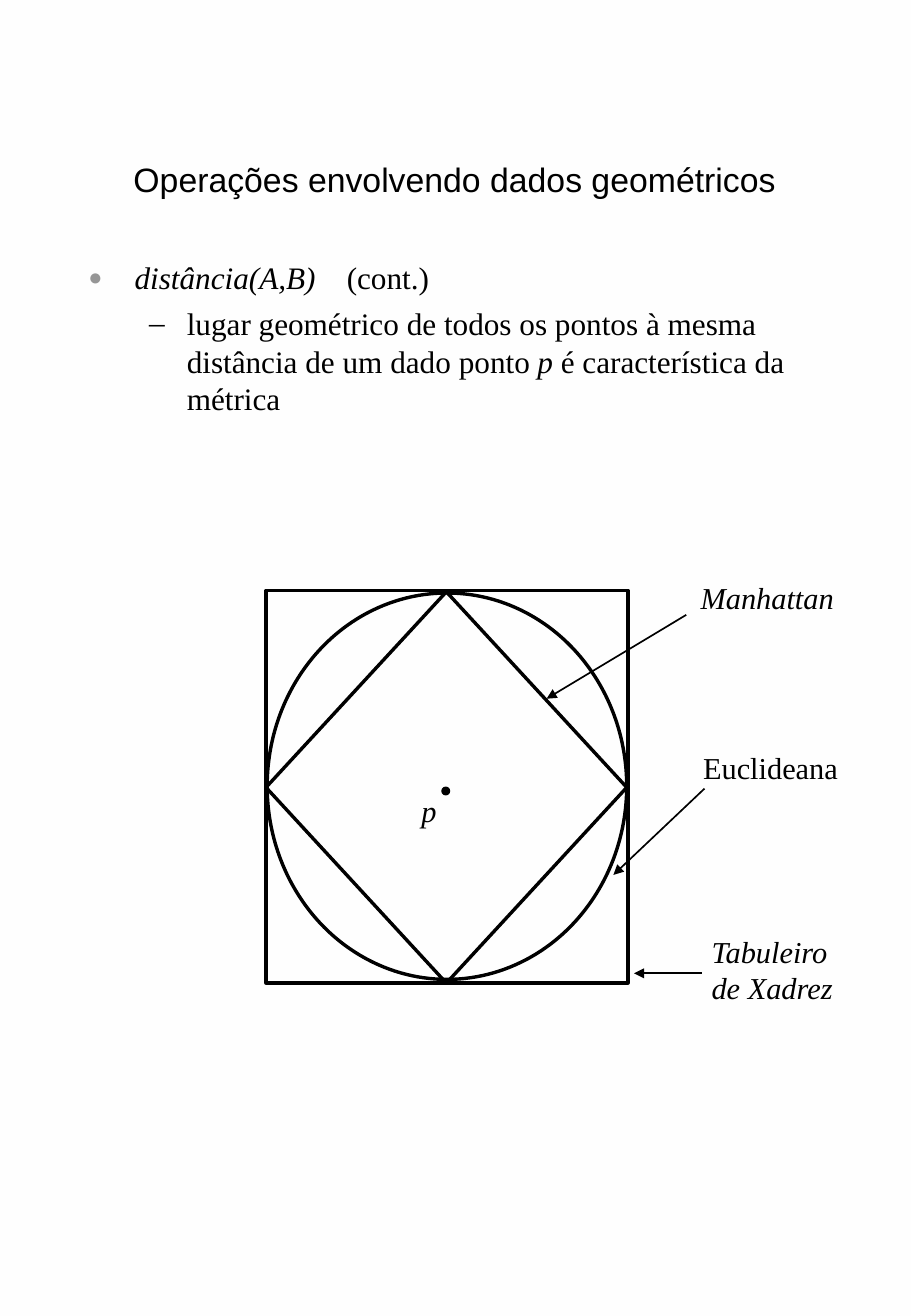
"""Build the slide about the geometric locus of three distance metrics."""
import pptx
import pptx.dml.color
import pptx.enum.dml
import pptx.enum.shapes
import pptx.enum.text
import pptx.oxml
import pptx.oxml.ns
import pptx.util

BLACK = pptx.dml.color.RGBColor(0x00, 0x00, 0x00)
WHITE = pptx.dml.color.RGBColor(0xFF, 0xFF, 0xFF)
OFF_WHITE = pptx.dml.color.RGBColor(0xFE, 0xFE, 0xFE)
GREY = pptx.dml.color.RGBColor(0x96, 0x96, 0x96)
SERIF = "Times New Roman"
SHAPE = pptx.enum.shapes.MSO_SHAPE
EMU_PER_PX = 9144


def px(length):
    return pptx.util.Emu(length * EMU_PER_PX)


def drawing_element(tag, **attributes):
    namespace = pptx.oxml.ns.nsdecls("a")
    element = pptx.oxml.parse_xml(f"<a:{tag} {namespace}/>")
    for name, value in attributes.items():
        element.set(name, str(value))
    return element


def set_background(slide):
    fill = slide.background.fill
    fill.gradient()
    fill.gradient_angle = 180
    for stop, colour in zip(fill.gradient_stops, (OFF_WHITE, WHITE)):
        stop.color.rgb = colour


def format_run(run, size, font=SERIF, italic=False):
    run.font.name = font
    run.font.size = pptx.util.Pt(size)
    run.font.italic = italic
    run.font.color.rgb = BLACK


def add_text(slide, box, text, size, font=SERIF, italic=False, wrap=False):
    shape = slide.shapes.add_textbox(*map(px, box))
    text_frame = shape.text_frame
    text_frame.word_wrap = wrap
    text_frame.text = text
    for paragraph in text_frame.paragraphs:
        for run in paragraph.runs:
            format_run(run, size, font, italic)
    return text_frame


def add_title(slide, box, text):
    text_frame = add_text(slide, box, text, 20, font="Arial", wrap=True)
    text_frame.vertical_anchor = pptx.enum.text.MSO_ANCHOR.MIDDLE
    text_frame.paragraphs[0].alignment = pptx.enum.text.PP_ALIGN.CENTER


def set_bullet(paragraph, character, colour, percent, margin, hanging):
    paragraph.space_before = pptx.util.Pt(5)
    properties = paragraph._p.get_or_add_pPr()
    properties.set("marL", str(px(margin)))
    properties.set("indent", str(-px(hanging)))
    bullet_colour = drawing_element("buClr")
    bullet_colour.append(drawing_element("srgbClr", val=colour))
    properties.append(bullet_colour)
    properties.append(drawing_element("buSzPct", val=percent * 1000))
    properties.append(drawing_element("buFont", typeface=SERIF))
    properties.append(drawing_element("buChar", char=character))


def add_runs(paragraph, pieces):
    for text, italic in pieces:
        run = paragraph.add_run()
        run.text = text
        format_run(run, 18.5, italic=italic)


def add_body(slide, box):
    text_frame = add_text(slide, box, "", 18.5, wrap=True)
    topic = text_frame.paragraphs[0]
    add_runs(topic, [("distância(A,B)", True), (" ", True), ("(cont.)", False)])
    topic.runs[1].font._element.set("spc", "1390")
    set_bullet(topic, "●", GREY, 75, 38, 38)

    detail = text_frame.add_paragraph()
    detail.level = 1
    add_runs(detail, [
        ("lugar geométrico de todos os pontos à mesma distância de um dado ponto ", False),
        ("p ", True),
        ("é característica da métrica", False),
    ])
    set_bullet(detail, "–", BLACK, 100, 81, 31)


def add_outline(slide, kind, box, width=2):
    shape = slide.shapes.add_shape(kind, *map(px, box))
    shape.shadow.inherit = False
    shape.fill.background()
    shape.line.color.rgb = BLACK
    shape.line.width = pptx.util.Pt(width)
    return shape


def add_dot(slide, box):
    dot = add_outline(slide, SHAPE.OVAL, box, width=1)
    dot.fill.solid()
    dot.fill.fore_color.rgb = BLACK


def add_arrow(slide, tip, tail):
    straight = pptx.enum.shapes.MSO_CONNECTOR.STRAIGHT
    arrow = slide.shapes.add_connector(straight, *map(px, tip + tail))
    arrow.line.color.rgb = BLACK
    arrow.line.width = pptx.util.Pt(1)
    arrow.line._get_or_add_ln().append(drawing_element("headEnd", type="triangle"))
    arrow._element.spPr.append(drawing_element("effectLst"))


def main():
    presentation = pptx.Presentation()
    presentation.slide_width = px(750)
    presentation.slide_height = px(1083)
    slide = presentation.slides.add_slide(presentation.slide_layouts[6])
    set_background(slide)

    add_title(slide, (56, 96, 637, 102), "Operações envolvendo dados geométricos")
    add_body(slide, (63, 208, 637, 178))

    add_dot(slide, (364, 648, 6, 6))
    add_text(slide, (337, 647, 32, 40), "p", 18, italic=True)

    for kind, box in (
        (SHAPE.OVAL, (220, 488, 296, 318)),
        (SHAPE.DIAMOND, (219, 487, 297, 322)),
        (SHAPE.RECTANGLE, (219, 486, 298, 323)),
    ):
        add_outline(slide, kind, box)

    for label, box, italic, tip, tail in (
        ("Manhattan", (567, 472, 130, 40), True, (450, 575), (565, 506)),
        ("Euclideana", (569, 612, 131, 40), False, (505, 720), (580, 649)),
        ("Tabuleiro\nde Xadrez", (576, 763, 121, 70), True, (522, 801), (578, 801)),
    ):
        add_arrow(slide, tip, tail)
        add_text(slide, box, label, 18, italic=italic)

    presentation.save("out.pptx")


if __name__ == "__main__":
    main()
